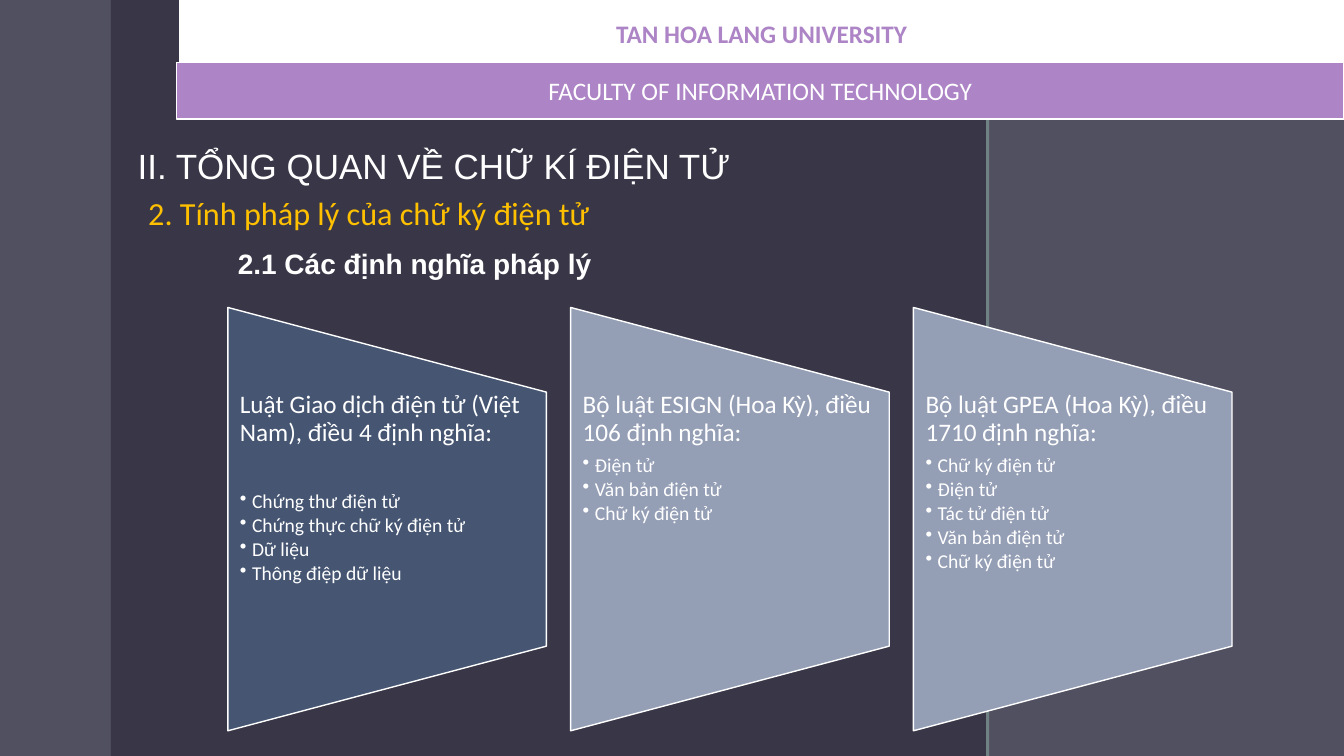
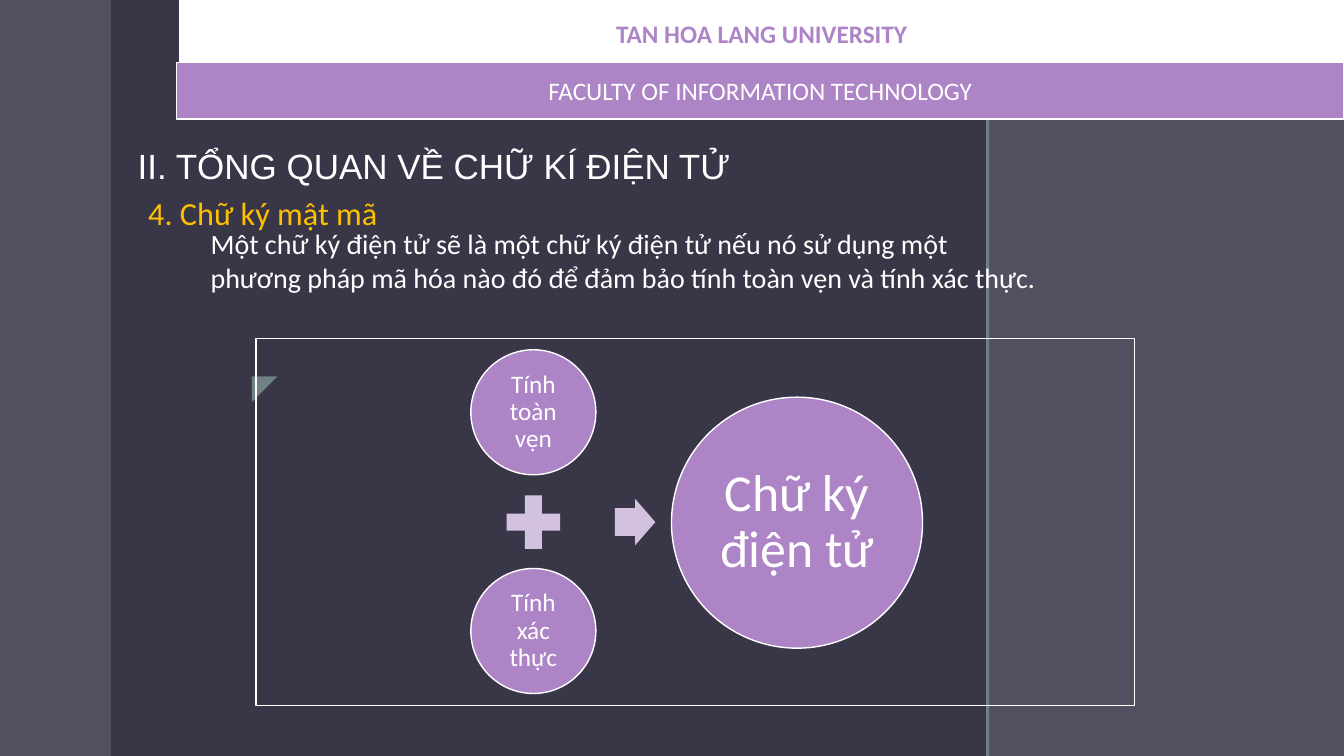
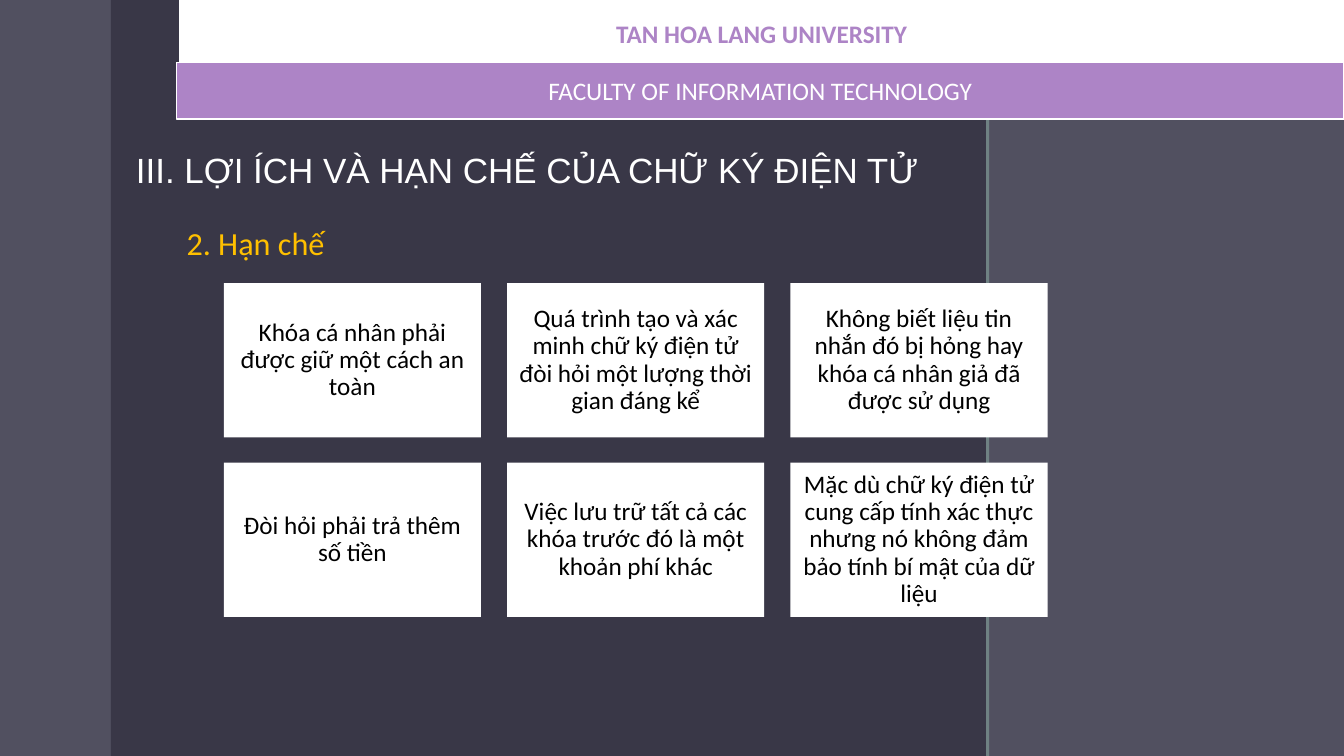
from lxml import etree
from pptx import Presentation
from pptx.dml.color import RGBColor
from pptx.enum import shapes, text
from pptx.oxml.ns import qn
from pptx.util import Inches, Pt

KIND = shapes.MSO_SHAPE
ALIGN = text.PP_ALIGN
ANCHOR = text.MSO_ANCHOR

WHITE, BLACK, GOLD = "FFFFFF", "000000", "FFC000"
BACK, PANEL, RULE = "515060", "373545", "6F8183"
LILAC, PALE = "AD84C6", "D3C2DF"
NAVY, STEEL = "455572", "949EB5"
PLAIN = (0.1, 0.05, 0.1, 0.05)


def color(code):
    return RGBColor.from_string(code)


class Deck:
    def __init__(self):
        self.prs = Presentation()
        self.prs.slide_width = Inches(13.33)
        self.prs.slide_height = Inches(7.5)
        fill = self.prs.slide_master.background.fill
        fill.solid()
        fill.fore_color.rgb = color(BACK)
        self.layout = self.prs.slide_layouts[5]
        for holder in list(self.layout.placeholders)[1:]:
            holder.element.getparent().remove(holder.element)
        self.slide = None

    def start(self):
        self.slide = self.prs.slides.add_slide(self.layout)

    def bands(self):
        """Draw the shared bands once and hand them to the layout."""
        panel = self.shape(KIND.RECTANGLE, (1.1, 0, 8.68, 7.5), PANEL)
        tone = panel.element.spPr.find(qn("a:solidFill"))[0]
        etree.SubElement(tone, qn("a:alpha"), val="92000")
        rule = self.shape(KIND.RECTANGLE, (9.78, 0, 0.03, 7.5), RULE)
        school = self.shape(KIND.RECTANGLE, (1.78, 0, 11.55, 0.67), WHITE, WHITE)
        self.letter(school, ["TAN HOA LANG UNIVERSITY"], 18, LILAC, bold=True,
                    align=ALIGN.CENTER, anchor=ANCHOR.MIDDLE)
        unit = self.shape(KIND.RECTANGLE, (1.75, 0.62, 11.58, 0.56), LILAC, WHITE)
        self.letter(unit, ["FACULTY OF INFORMATION TECHNOLOGY"], 18,
                    align=ALIGN.CENTER, anchor=ANCHOR.MIDDLE)
        tree = self.layout.shapes.element
        for band in (panel, rule, school, unit):
            tree.append(band.element)

    def shape(self, kind, box, fill=None, line=None):
        item = self.slide.shapes.add_shape(kind, *map(Inches, box))
        item.shadow.inherit = False
        if fill:
            item.fill.solid()
            item.fill.fore_color.rgb = color(fill)
        else:
            item.fill.background()
        if line:
            item.line.color.rgb = color(line)
            item.line.width = Pt(1)
        else:
            item.line.fill.background()
        return item

    def letter(self, item, lines, size, tint=WHITE, font="Calibri", bold=False,
               align=ALIGN.LEFT, anchor=ANCHOR.TOP, pad=PLAIN,
               lead=1.0, before=0, after=0, bullet=False):
        """Append paragraphs of one style to a shape."""
        frame = item.text_frame
        frame.word_wrap = True
        frame.auto_size = text.MSO_AUTO_SIZE.NONE
        frame.vertical_anchor = anchor
        (frame.margin_left, frame.margin_top,
         frame.margin_right, frame.margin_bottom) = map(Inches, pad)
        for line in lines:
            para = frame.add_paragraph() if frame.text else frame.paragraphs[0]
            para.text = line
            para.alignment = align
            para.line_spacing = lead
            para.space_before, para.space_after = Pt(before), Pt(after)
            if bullet:
                para.level = 1
                props = para._p.get_or_add_pPr()
                props.set("marL", str(Inches(0.12)))
                props.set("indent", str(-Inches(0.12)))
                etree.SubElement(props, qn("a:buChar"), char="•")
            para.font.name = font
            para.font.size = Pt(size)
            para.font.bold = bold
            para.font.color.rgb = color(tint)

    def label(self, box, lines, size, **style):
        item = self.slide.shapes.add_textbox(*map(Inches, box))
        self.letter(item, lines, size, **style)
        return item

    def title(self, box, words):
        item = self.slide.shapes.title
        item.left, item.top, item.width, item.height = map(Inches, box)
        self.letter(item, [words], 23, GOLD, lead=0.9)

    def section(self, box, words, align=ALIGN.LEFT):
        self.label(box, [words], 25, font="Arial", align=align, lead=0.9,
                   anchor=ANCHOR.BOTTOM, pad=(0.1, 0, 0.1, 0.05))

    def topic(self, words):
        """Title and section heading of part II."""
        self.title((1.37, 1.91, 4.66, 0.68), words)
        self.section((1.19, 1.25, 6.15, 0.66),
                     "II. TỔNG QUAN VỀ CHỮ KÍ ĐIỆN TỬ", ALIGN.RIGHT)

    def law(self, left, fill, head, terms, gap):
        """Tapered card with a heading and bulleted terms."""
        wide, high = 4.2, 3.16
        card = self.shape(KIND.FLOWCHART_MANUAL_OPERATION,
                          (left + (high - wide) / 2, 3.57, wide, high), fill, WHITE)
        card.rotation = 270
        pad = (0.12, 0, 0.13, 0)
        item = self.label((left, 3.89, high, 2.52), [head], 18,
                          pad=pad, lead=0.9, after=gap)
        self.letter(item, terms, 14, pad=pad, lead=0.9, after=2.1, bullet=True)

    def node(self, kind, box, fill, words, size, pad, tint=WHITE, line=None):
        """Shape with centred text."""
        item = self.shape(kind, box, fill, line)
        self.letter(item, [words], size, tint, align=ALIGN.CENTER,
                    anchor=ANCHOR.MIDDLE, pad=(pad,) * 4, lead=0.9)


def main():
    deck = Deck()

    # Legal definitions
    deck.start()
    deck.bands()
    deck.topic("2. Tính pháp lý của chữ ký điện tử")
    deck.label((2.26, 2.37, 4.01, 0.43), ["2.1 Các định nghĩa pháp lý"], 20,
               font="Arial", bold=True, align=ALIGN.JUSTIFY, lead=1.07, before=3.6)
    laws = [
        (NAVY, "Luật Giao dịch điện tử (Việt Nam), điều 4 định nghĩa:",
         ["Chứng thư điện tử", "Chứng thực chữ ký điện tử", "Dữ liệu",
          "Thông điệp dữ liệu"], 32),
        (STEEL, "Bộ luật ESIGN (Hoa Kỳ), điều 106 định nghĩa:",
         ["Điện tử", "Văn bản điện tử", "Chữ ký điện tử"], 6.3),
        (STEEL, "Bộ luật GPEA (Hoa Kỳ), điều 1710 định nghĩa:",
         ["Chữ ký điện tử", "Điện tử", "Tác tử điện tử", "Văn bản điện tử",
          "Chữ ký điện tử"], 6.3),
    ]
    for col, law in enumerate(laws):
        deck.law(2.26 + 3.4 * col, *law)

    # Cryptographic signature
    deck.start()
    deck.label((2.4, 3.57, 0.45, 0.5), ["◤"], 24, tint=RULE, font="Arial",
               align=ALIGN.RIGHT)
    deck.topic("4. Chữ ký mật mã")
    for top, words in ((3.47, "Tính toàn vẹn"), (5.64, "Tính xác thực")):
        deck.node(KIND.OVAL, (4.67, top, 1.24, 1.24), LILAC, words, 18, 0.03,
                  line=WHITE)
    deck.shape(KIND.MATH_PLUS, (4.93, 4.82, 0.72, 0.72), PALE)
    arrow = deck.shape(KIND.RIGHT_ARROW, (6.1, 4.95, 0.4, 0.46), PALE)
    arrow.adjustments[0], arrow.adjustments[1] = 0.6, 0.5
    deck.node(KIND.OVAL, (6.66, 3.94, 2.49, 2.49), LILAC, "Chữ ký điện tử", 37,
              0.05, line=WHITE)
    deck.shape(KIND.RECTANGLE, (2.54, 3.36, 8.71, 3.64), line=WHITE)
    deck.label((1.99, 2.2, 8.44, 1.11),
               ["Một chữ ký điện tử sẽ là một chữ ký điện tử nếu nó sử dụng một "
                "phương pháp mã hóa nào đó để đảm bảo tính toàn vẹn và tính xác thực."],
               20)

    # Drawbacks
    deck.start()
    deck.section((1.25, 1.49, 9.41, 0.45),
                 "III. LỢI ÍCH VÀ HẠN CHẾ CỦA CHỮ KÝ ĐIỆN TỬ")
    deck.title((1.75, 2.21, 8.41, 0.54), "2. Hạn chế")
    limits = [
        "Khóa cá nhân phải được giữ một cách an toàn",
        "Quá trình tạo và xác minh chữ ký điện tử đòi hỏi một lượng thời gian đáng kể",
        "Không biết liệu tin nhắn đó bị hỏng hay khóa cá nhân giả đã được sử dụng",
        "Đòi hỏi phải trả thêm số tiền",
        "Việc lưu trữ tất cả các khóa trước đó là một khoản phí khác",
        "Mặc dù chữ ký điện tử cung cấp tính xác thực nhưng nó không đảm bảo "
        "tính bí mật của dữ liệu",
    ]
    for spot, words in enumerate(limits):
        row, col = divmod(spot, 3)
        deck.node(KIND.RECTANGLE, (2.22 + 2.81 * col, 2.81 + 1.78 * row, 2.55, 1.53),
                  WHITE, words, 18, 0.07, BLACK)

    deck.prs.save("out.pptx")


if __name__ == "__main__":
    main()
